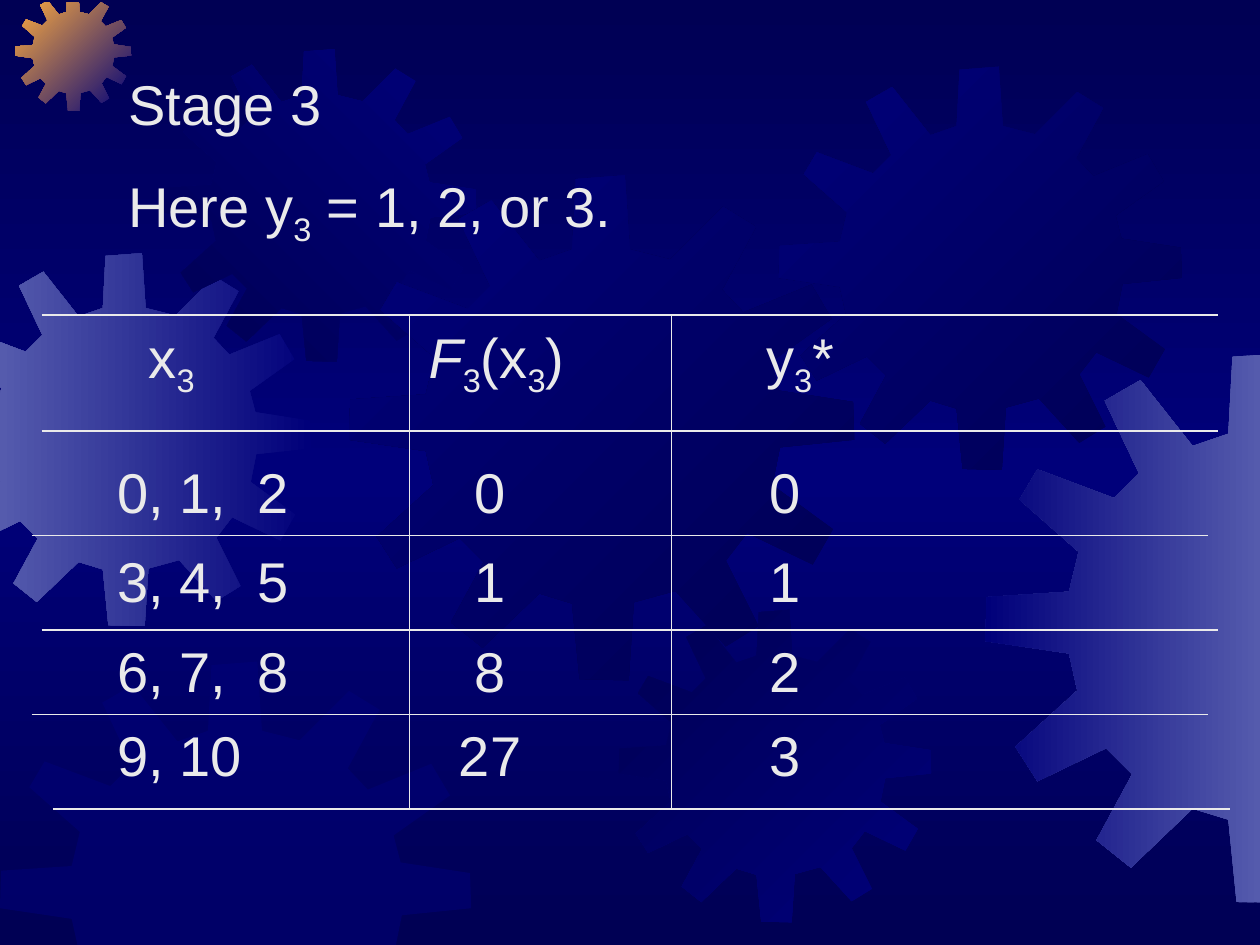
from dataclasses import dataclass
from functools import partial
from itertools import accumulate

from lxml.etree import SubElement
from pptx import Presentation
from pptx.dml.color import RGBColor
from pptx.enum.shapes import MSO_CONNECTOR
from pptx.enum.text import PP_ALIGN
from pptx.oxml.ns import qn
from pptx.util import Inches, Pt


@dataclass(frozen=True)
class Theme:
    font: str = "Arial"
    body: int = 32
    rule: float = 0.75
    ink: str = "EAEAEA"
    night: str = "000054"
    navy: str = "00007A"
    haze: str = "555BAD"
    amber: str = "FCAB40"
    plain_table: str = "{2D5ABB26-0587-4C30-8999-92F81FD0307C}"


THEME = Theme()
WIDTH, HEIGHT = 10, 7.5
CLIP_TOP = 0.02

GEAR_SIZE = 401
GEAR = [
    (255, 67), (223, 59), (219, 0), (180, 3), (177, 59), (151, 68),
    (113, 20), (87, 35), (112, 88), (94, 106), (38, 85), (25, 107),
    (68, 145), (61, 174), (1, 178), (0, 210), (61, 219), (67, 246),
    (22, 287), (38, 312), (88, 288), (107, 307), (81, 355), (106, 375),
    (151, 332), (177, 340), (183, 400), (222, 401), (226, 339), (259, 330),
    (299, 374), (325, 358), (299, 306), (316, 284), (368, 309), (384, 281),
    (336, 246), (342, 216), (401, 210), (400, 180), (341, 171), (335, 148),
    (383, 114), (367, 87), (313, 109), (296, 91), (323, 41), (297, 25),
]

SUB, ITALIC = "sub", "italic"
HEADER = [
    [("x", ""), ("3", SUB)],
    [("F", ITALIC), ("3", SUB), ("(x", ""), ("3", SUB), (")", "")],
    [("y", ""), ("3", SUB), ("*", "")],
]
STAGE_ROWS = [
    ("0, 1,\t2", "0", "0"),
    ("3, 4,\t5", "1", "1"),
    ("6, 7,\t8", "8", "2"),
    ("9, 10", "27", "3"),
]
COLUMN_WIDTHS = [2.92, 2.08, 4.34]
ROW_HEIGHTS = [0.92, 0.83, 0.75, 0.67, 0.75]
ROW_INSETS = [0.1, 0.25, 0.13, 0.09, 0.09]
RULE_SHIFTS = [0, 0, -0.08, 0, -0.08, 0.09]
HEADER_MARGINS = [(0.85, 0), (0, 0.7), (0, 2.3)]
BODY_MARGINS = [(0.6, 0), (0, 0.8), (0, 2.54)]


def paint_gradient(fill, holder, colours, angle):
    fill.gradient()
    fill.gradient_angle = (360 - angle) % 360
    stops = holder.find(".//" + qn("a:gsLst"))
    for stop in list(stops):
        stops.remove(stop)
    for index, colour in enumerate(colours):
        position = 100000 * index // (len(colours) - 1)
        stop = SubElement(stops, qn("a:gs"), pos=str(position))
        SubElement(stop, qn("a:srgbClr"), val=colour)


def clip(points, axis, limit, sign):
    kept = []
    for start, end in zip(points[-1:] + points[:-1], points):
        start_gap = sign * (start[axis] - limit)
        end_gap = sign * (end[axis] - limit)
        if start_gap * end_gap < 0:
            share = start_gap / (start_gap - end_gap)
            kept.append(tuple(a + share * (b - a) for a, b in zip(start, end)))
        if end_gap >= 0:
            kept.append(end)
    return kept


def add_gear(page, left, top, size, colours, angle=0):
    scale = size / GEAR_SIZE
    points = [(left + x * scale, top + y * scale) for x, y in GEAR]
    for edge in ((0, 0, 1), (1, CLIP_TOP, 1), (0, WIDTH, -1), (1, HEIGHT, -1)):
        points = clip(points, *edge)
    outline = [(Inches(x), Inches(y)) for x, y in points]
    builder = page.shapes.build_freeform(*outline[0])
    builder.add_line_segments(outline[1:], close=True)
    gear = builder.convert_to_shape()
    gear.shadow.inherit = False
    gear.line.fill.background()
    if len(colours) > 1:
        paint_gradient(gear.fill, gear.element, colours, angle)
    else:
        gear.fill.solid()
        gear.fill.fore_color.rgb = RGBColor.from_string(colours[0])
        colour = gear.element.spPr.find(".//" + qn("a:srgbClr"))
        SubElement(colour, qn("a:alpha"), val="50000")


def add_backdrop(page):
    night, navy, haze = THEME.night, THEME.navy, THEME.haze
    paint_gradient(page.background.fill, page.element, (night, navy, night), 90)
    gear = partial(add_gear, page)
    gear(-0.49, 2.01, 2.96, (navy, haze), 180)
    gear(0.12, -0.04, 0.92, (navy, THEME.amber), 225)
    gear(1.3, 0.39, 2.48, (navy, night), 135)
    gear(2.77, 1.39, 4.01, (night, navy), 225)
    gear(0, 5.25, 3.74, (navy,))
    gear(4.91, 4.84, 2.48, (navy, night), 225)
    gear(6.18, 0.53, 3.2, (night, navy), 225)
    gear(7.82, 2.8, 4.37, (haze, navy), 180)


def write(para, spans):
    for text, style in spans:
        span = para.add_run()
        span.text = text
        if style == SUB:
            span.font._element.set("baseline", "-25000")
        elif style == ITALIC:
            span.font.italic = True
    para.font.name = THEME.font
    para.font.size = Pt(THEME.body)
    para.font.color.rgb = RGBColor.from_string(THEME.ink)


def add_intro(page, left, top, width, height):
    box = page.shapes.add_textbox(*map(Inches, (left, top, width, height)))
    frame = box.text_frame
    frame.word_wrap = True
    write(frame.paragraphs[0], [("Stage 3", "")])
    para = frame.add_paragraph()
    write(para, [("Here y", ""), ("3", SUB), (" = 1, 2, or 3.", "")])
    para.space_before = Pt(20)


def add_rule(page, *ends):
    rule = page.shapes.add_connector(MSO_CONNECTOR.STRAIGHT, *map(Inches, ends))
    rule.line.width = Pt(THEME.rule)
    rule.line.color.rgb = RGBColor.from_string(THEME.ink)
    SubElement(rule.element.spPr, qn("a:effectLst"))


def add_stage_table(page, left, top):
    width, height = sum(COLUMN_WIDTHS), sum(ROW_HEIGHTS)
    rows = [HEADER] + [[[(text, "")] for text in row] for row in STAGE_ROWS]
    place = map(Inches, (left, top, width, height))
    holder = page.shapes.add_table(len(rows), len(COLUMN_WIDTHS), *place)
    table = holder.table
    table.first_row = table.horz_banding = False
    holder.element.find(".//" + qn("a:tableStyleId")).text = THEME.plain_table
    for column, column_width in zip(table.columns, COLUMN_WIDTHS):
        column.width = Inches(column_width)
    for r, spans_by_column in enumerate(rows):
        table.rows[r].height = Inches(ROW_HEIGHTS[r])
        margins = BODY_MARGINS if r else HEADER_MARGINS
        for c, spans in enumerate(spans_by_column):
            cell = table.cell(r, c)
            cell.fill.background()
            cell.margin_left, cell.margin_right = map(Inches, margins[c])
            cell.margin_top, cell.margin_bottom = Inches(ROW_INSETS[r]), 0
            para = cell.text_frame.paragraphs[0]
            para.alignment = PP_ALIGN.CENTER if c else PP_ALIGN.LEFT
            if r and c == 0:
                tabs = SubElement(para._p.get_or_add_pPr(), qn("a:tabLst"))
                SubElement(tabs, qn("a:tab"), pos=str(Inches(1.11)), algn="l")
            write(para, spans)
    for y, shift in zip(accumulate(ROW_HEIGHTS, initial=top), RULE_SHIFTS):
        add_rule(page, left + shift, y, left + shift + width, y)
    for x in accumulate(COLUMN_WIDTHS[1:-1], initial=left + COLUMN_WIDTHS[0]):
        add_rule(page, x, top, x, top + height)


def main():
    deck = Presentation()
    deck.slide_width, deck.slide_height = Inches(WIDTH), Inches(HEIGHT)
    page = deck.slides.add_slide(deck.slide_layouts[6])
    add_backdrop(page)
    add_intro(page, 0.92, 0.5, 8.25, 1.52)
    add_stage_table(page, 0.33, 2.5)
    deck.save("out.pptx")


if __name__ == "__main__":
    main()
